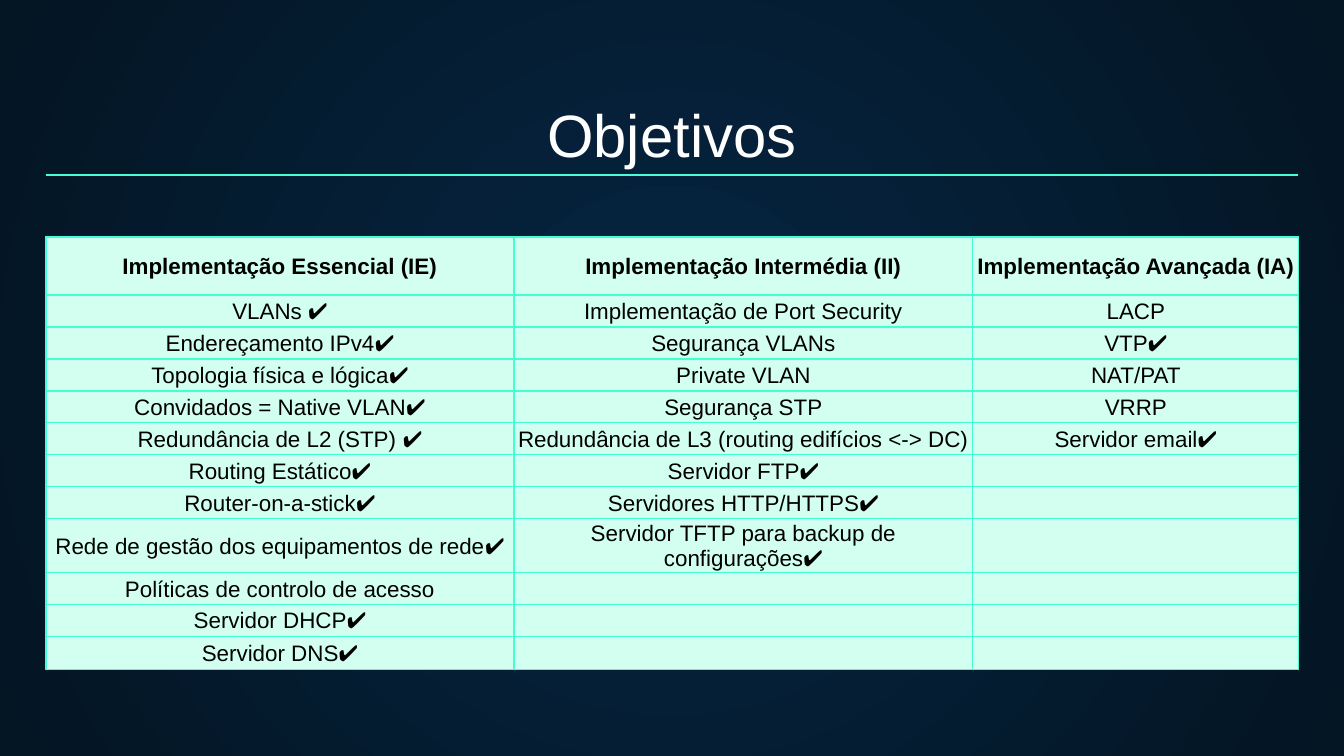
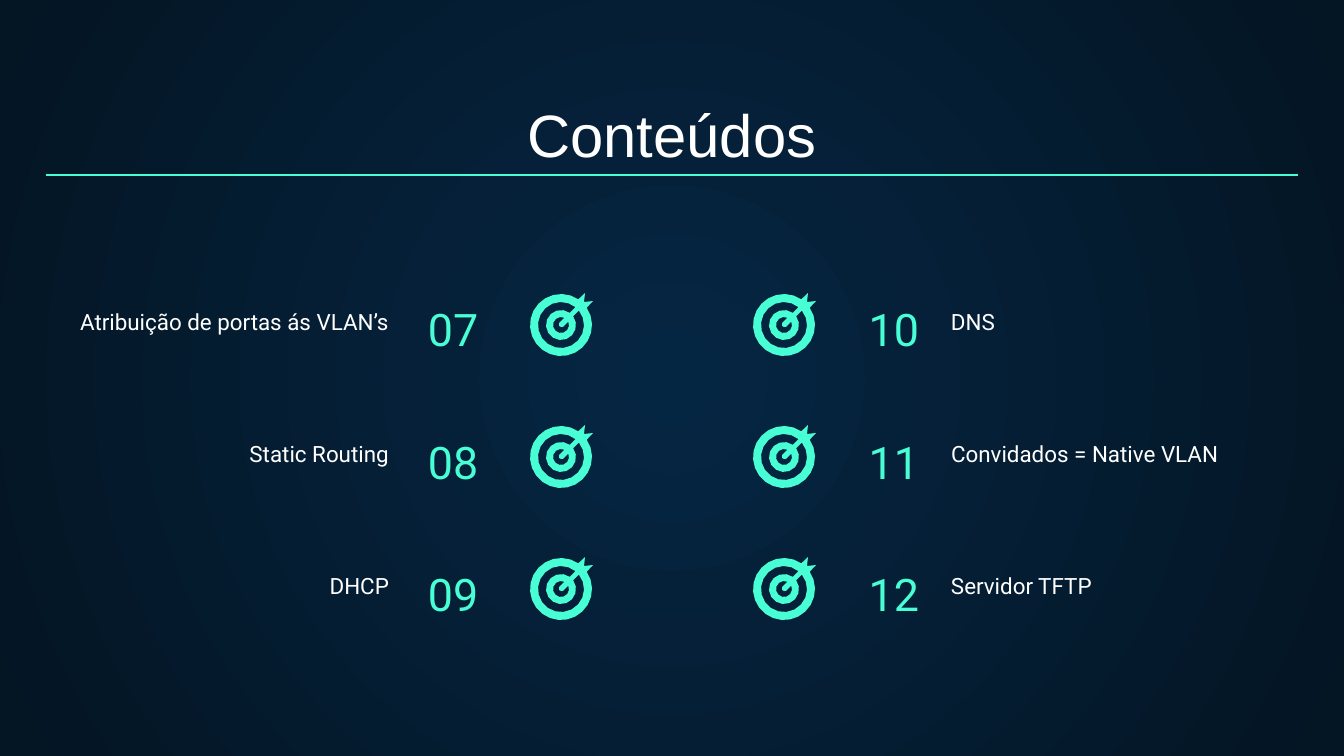
from dataclasses import dataclass
from math import cos, radians, sin

from lxml.etree import SubElement
from pptx import Presentation
from pptx.dml.color import RGBColor as Rgb
from pptx.enum.shapes import MSO_CONNECTOR as Connector
from pptx.enum.text import MSO_ANCHOR as Anchor, MSO_AUTO_SIZE as AutoSize, PP_ALIGN as Align
from pptx.oxml import parse_xml
from pptx.oxml.ns import nsdecls, qn
from pptx.util import Pt


@dataclass(frozen=True)
class Theme:
    glow: str = "052643"
    night: str = "041523"
    accent: str = "48FFD5"
    border: str = "42FED3"
    cell: str = "D3FFF0"
    white: str = "FFFFFF"
    black: str = "000000"
    sans: str = "Arial"
    roboto: str = "Roboto"
    title_size: int = 32
    number_size: int = 24
    body_size: int = 12


theme = Theme()
PX = 914400 * 10 // 1344


def write(frame, text, size, color, font, align):
    frame.word_wrap = True
    frame.vertical_anchor = Anchor.BOTTOM
    frame.margin_left = frame.margin_right = 13 * PX
    frame.margin_top = frame.margin_bottom = 13 * PX
    para = frame.paragraphs[0]
    para.alignment = align
    if text:
        para.add_run().text = text
    para.font.size = Pt(size)
    para.font.name = font
    para.font.color.rgb = Rgb.from_string(color)
    return para


def arc(radius, start, end):
    steps = radius // 2 + 6
    angles = [radians(start + (end - start) * step / steps) for step in range(steps + 1)]
    return [(radius * cos(angle), radius * sin(angle)) for angle in angles]


deck = Presentation()
deck.slide_width, deck.slide_height = 1344 * PX, 756 * PX

backdrop = deck.slide_master.background.fill
backdrop.gradient()
for stop, color in zip(backdrop.gradient_stops, (theme.glow, theme.night)):
    stop.color.rgb = Rgb.from_string(color)
gradient = deck.slide_master.element.find(".//" + qn("a:gradFill"))
gradient.replace(gradient.find(qn("a:lin")), parse_xml(
    f'<a:path {nsdecls("a")} path="circle">'
    '<a:fillToRect l="50000" t="50000" r="50000" b="50000"/></a:path>'))

pages = []
for heading in ("Objetivos", "Conteúdos"):
    page = deck.slides.add_slide(deck.slide_layouts[5])
    title = page.shapes.title
    title.left, title.top, title.width, title.height = 46 * PX, 94 * PX, 1252 * PX, 89 * PX
    title.text_frame.auto_size = AutoSize.NONE
    write(title.text_frame, heading, theme.title_size, theme.white, theme.sans, Align.CENTER)
    rule = page.shapes.add_connector(Connector.STRAIGHT, 46 * PX, 175 * PX, 1298 * PX, 175 * PX)
    rule.line.color.rgb = Rgb.from_string(theme.accent)
    rule.line.width = Pt(0.75)
    SubElement(rule.element.spPr, qn("a:effectLst"))
    pages.append(page)
goals_page, contents_page = pages

goals = [
    ("Implementação Essencial (IE)", "Implementação Intermédia (II)", "Implementação Avançada (IA)"),
    ("VLANs ✔️", "Implementação de Port Security", "LACP"),
    ("Endereçamento IPv4✔️", "Segurança VLANs", "VTP✔️"),
    ("Topologia física e lógica✔️", "Private VLAN", "NAT/PAT"),
    ("Convidados = Native VLAN✔️", "Segurança STP", "VRRP"),
    ("Redundância de L2 (STP) ✔️", "Redundância de L3 (routing edifícios <-> DC)", "Servidor email✔️"),
    ("Routing Estático✔️", "Servidor FTP✔️", ""),
    ("Router-on-a-stick✔️", "Servidores HTTP/HTTPS✔️", ""),
    ("Rede de gestão dos equipamentos de rede✔️", "Servidor TFTP para backup de configurações✔️", ""),
    ("Políticas de controlo de acesso", "", ""),
    ("Servidor DHCP✔️", "", ""),
    ("Servidor DNS✔️", "", ""),
]
row_heights = [58] + [32] * 7 + [54, 32, 32, 33]
column_widths = [468, 459, 326]
table = goals_page.shapes.add_table(
    len(goals), len(column_widths), 46 * PX, 237 * PX,
    sum(column_widths) * PX, sum(row_heights) * PX).table
table.first_row = table.horz_banding = False
for column, width in zip(table.columns, column_widths):
    column.width = width * PX
for row, height, texts in zip(table.rows, row_heights, goals):
    row.height = height * PX
    for cell, text in zip(row.cells, texts):
        para = write(cell.text_frame, text, theme.body_size, theme.black, theme.sans, Align.CENTER)
        para.font.bold = texts is goals[0]
        if not text:
            SubElement(para._p, qn("a:endParaRPr"), sz=str(theme.body_size * 100))
        cell.vertical_anchor = Anchor.MIDDLE
        cell.margin_left = cell.margin_right = cell.margin_top = PX
        cell.margin_bottom = 0
        properties = cell._tc.get_or_add_tcPr()
        for side in ("lnL", "lnR", "lnT", "lnB"):
            properties.append(parse_xml(
                f'<a:{side} {nsdecls("a")} w="{Pt(0.75)}"><a:solidFill>'
                f'<a:srgbClr val="{theme.border}"/></a:solidFill></a:{side}>'))
        cell.fill.solid()
        cell.fill.fore_color.rgb = Rgb.from_string(theme.cell)

target_contours = [
    arc(31, -56, -394) + [(32, -24), (23, -23), (24, -32)],
    arc(15, -54, -396) + arc(23, -399, -51),
    arc(8, -65, -385) + [(2, 2), (0, 2), (-2, 1), (-2, -2)],
]
columns = [
    (7, 561, 415, Align.LEFT, Align.RIGHT,
     [("Atribuição de portas ás VLAN’s", 48, 354), ("Static Routing", 97, 305), ("DHCP", 97, 305)]),
    (10, 784, 759, Align.RIGHT, Align.LEFT,
     [("DNS", 938, 305), ("Convidados = Native VLAN", 938, 309), ("Servidor TFTP", 938, 305)]),
]
row_pitch = 132
for first, target_x, number_x, number_align, topic_align, topics in columns:
    for index, (topic, topic_x, topic_width) in enumerate(topics):
        offset = index * row_pitch
        number_box = contents_page.shapes.add_textbox(
            number_x * PX, (280 + offset) * PX, 173 * PX, 89 * PX)
        write(number_box.text_frame, f"{first + index:02}", theme.number_size,
              theme.accent, theme.roboto, number_align)
        topic_box = contents_page.shapes.add_textbox(
            topic_x * PX, (300 + offset) * PX, topic_width * PX, 48 * PX)
        write(topic_box.text_frame, topic, theme.body_size, theme.white, theme.roboto, topic_align)

        builder = None
        for contour in target_contours:
            points = [((target_x + x) * PX, (325 + offset + y) * PX) for x, y in contour]
            if builder is None:
                builder = contents_page.shapes.build_freeform(*points[0])
            else:
                builder.move_to(*points[0])
            builder.add_line_segments(points[1:], close=True)
        target = builder.convert_to_shape()
        target.shadow.inherit = False
        target.fill.solid()
        target.fill.fore_color.rgb = Rgb.from_string(theme.accent)
        target.line.fill.background()

deck.save("out.pptx")
